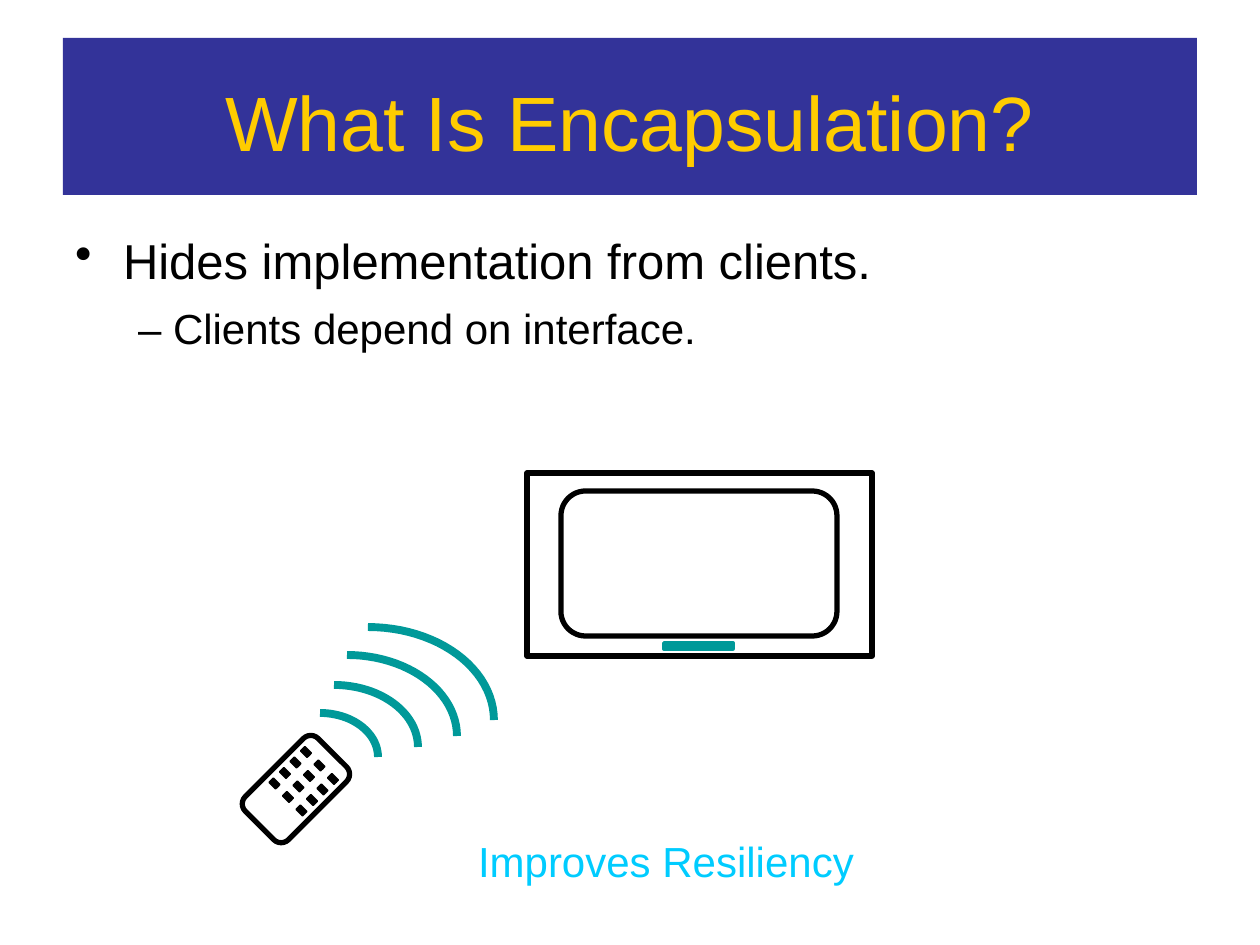
from math import cos, pi, sin

from lxml import etree
from pptx import Presentation
from pptx.dml.color import RGBColor
from pptx.enum.shapes import MSO_SHAPE
from pptx.enum.text import MSO_ANCHOR, PP_ALIGN
from pptx.oxml.ns import qn
from pptx.util import Pt

PX = 914400 / 126
RECT, ROUNDED = MSO_SHAPE.RECTANGLE, MSO_SHAPE.ROUNDED_RECTANGLE
TOP, MIDDLE = MSO_ANCHOR.TOP, MSO_ANCHOR.MIDDLE
LEFT, CENTER = PP_ALIGN.LEFT, PP_ALIGN.CENTER
FONT = "Arial"
NAVY = RGBColor(0x33, 0x33, 0x99)
GOLD = RGBColor(0xFF, 0xCC, 0x00)
SKY = RGBColor(0x00, 0xCC, 0xFF)
TEAL = RGBColor(0x00, 0x99, 0x99)
BLACK = RGBColor(0x00, 0x00, 0x00)

# Content
TITLE = "What Is Encapsulation?"
POINT = "Hides implementation from clients."
SUBPOINT = "– Clients depend on interface."
CLOSING = "Improves Resiliency"

# Signal waves: left, top, width, height of each quarter ellipse
WAVES = [(320, 713, 58, 44), (334, 685, 84, 62),
         (347, 655, 110, 81), (368, 627, 126, 93)]
ARC_STEPS = 24

# Remote control: everything on it is turned by the same angle
TILT = -45
REMOTE_CENTER, REMOTE_SIZE = (296, 789), (103, 61)
KEY_START, KEY_SIZE = (306, 752), (6, 9)
KEY_ROWS, KEY_COLS = 4, 3
ROW_STEP, COL_STEP = (-10.5, 10.5), (13.5, 13.5)


def px(n):
    return round(n * PX)


def paint(s, fill=None, line=None, weight=1):
    s.shadow.inherit = False
    if fill is None:
        s.fill.background()
    else:
        s.fill.solid()
        s.fill.fore_color.rgb = fill
    if line is None:
        s.line.fill.background()
    else:
        s.line.color.rgb = line
        s.line.width = Pt(weight)
        etree.SubElement(s.line._get_or_add_ln(), qn("a:round"))


def add_box(shapes, kind, x, y, w, h, **colors):
    s = shapes.add_shape(kind, px(x), px(y), px(w), px(h))
    paint(s, **colors)
    return s


def add_tilted(shapes, kind, center, size, **colors):
    (cx, cy), (w, h) = center, size
    s = add_box(shapes, kind, cx - w / 2, cy - h / 2, w, h, **colors)
    s.rotation = TILT
    return s


def add_wave(shapes, x, y, w, h):
    angles = [pi / 2 * i / ARC_STEPS for i in range(ARC_STEPS + 1)]
    points = [(px(x + w * sin(a)), px(y + h - h * cos(a))) for a in angles]
    builder = shapes.build_freeform(*points[0])
    builder.add_line_segments(points[1:], close=False)
    paint(builder.convert_to_shape(), line=TEAL, weight=4.5)


def set_frame(s, top=0, anchor=TOP):
    tf = s.text_frame
    tf.word_wrap = True
    tf.vertical_anchor = anchor
    tf.margin_left = tf.margin_right = tf.margin_bottom = 0
    tf.margin_top = px(top)
    return tf


def write(p, text, size, color=BLACK, align=LEFT, before=0, margin=0, bullet=None):
    p.alignment = align
    p.space_before = Pt(before)
    pPr = p._p.get_or_add_pPr()
    pPr.set("marL", str(px(margin)))
    pPr.set("indent", str(px(-48 if bullet else 0)))
    if bullet:
        etree.SubElement(pPr, qn("a:buChar"), char=bullet)
    else:
        etree.SubElement(pPr, qn("a:buNone"))
    r = p.add_run()
    r.text = text
    r.font.name, r.font.size, r.font.color.rgb = FONT, Pt(size), color


prs = Presentation()
prs.slide_width, prs.slide_height = px(1260), px(945)
shapes = prs.slides.add_slide(prs.slide_layouts[6]).shapes

# Title band
band = add_box(shapes, RECT, 63, 38, 1134, 157, fill=NAVY)
tf = set_frame(band, top=9, anchor=MIDDLE)
write(tf.paragraphs[0], TITLE, 44, color=GOLD, align=CENTER)

# Body text
body = shapes.add_textbox(px(74), px(210), px(801), px(137))
tf = set_frame(body, top=21)
write(tf.paragraphs[0], POINT, 28, margin=49, bullet="•")
write(tf.add_paragraph(), SUBPOINT, 24, before=7.5, margin=64)

# Closing line
closing = shapes.add_textbox(px(476), px(829), px(400), px(54))
write(set_frame(closing, top=6).paragraphs[0], CLOSING, 24, color=SKY, margin=2)

# Signal and remote control
signal = shapes.add_group_shape().shapes
for wave in WAVES:
    add_wave(signal, *wave)
remote = add_tilted(signal, ROUNDED, REMOTE_CENTER, REMOTE_SIZE, line=BLACK, weight=3)
remote.adjustments[0] = 0.17
for row in range(KEY_ROWS):
    for col in range(KEY_COLS):
        center = [start + row * dr + col * dc
                  for start, dr, dc in zip(KEY_START, ROW_STEP, COL_STEP)]
        add_tilted(signal, RECT, center, KEY_SIZE, fill=BLACK, line=BLACK)

# Television: case, screen, receiver
tv = shapes.add_group_shape().shapes
add_box(tv, RECT, 527, 473, 345, 183, line=BLACK, weight=3)
screen = add_box(tv, ROUNDED, 561, 491, 276, 145, line=BLACK, weight=3)
screen.adjustments[0] = 0.17
add_box(tv, RECT, 664, 643, 69, 6, fill=TEAL, line=TEAL, weight=2)

prs.save("out.pptx")
